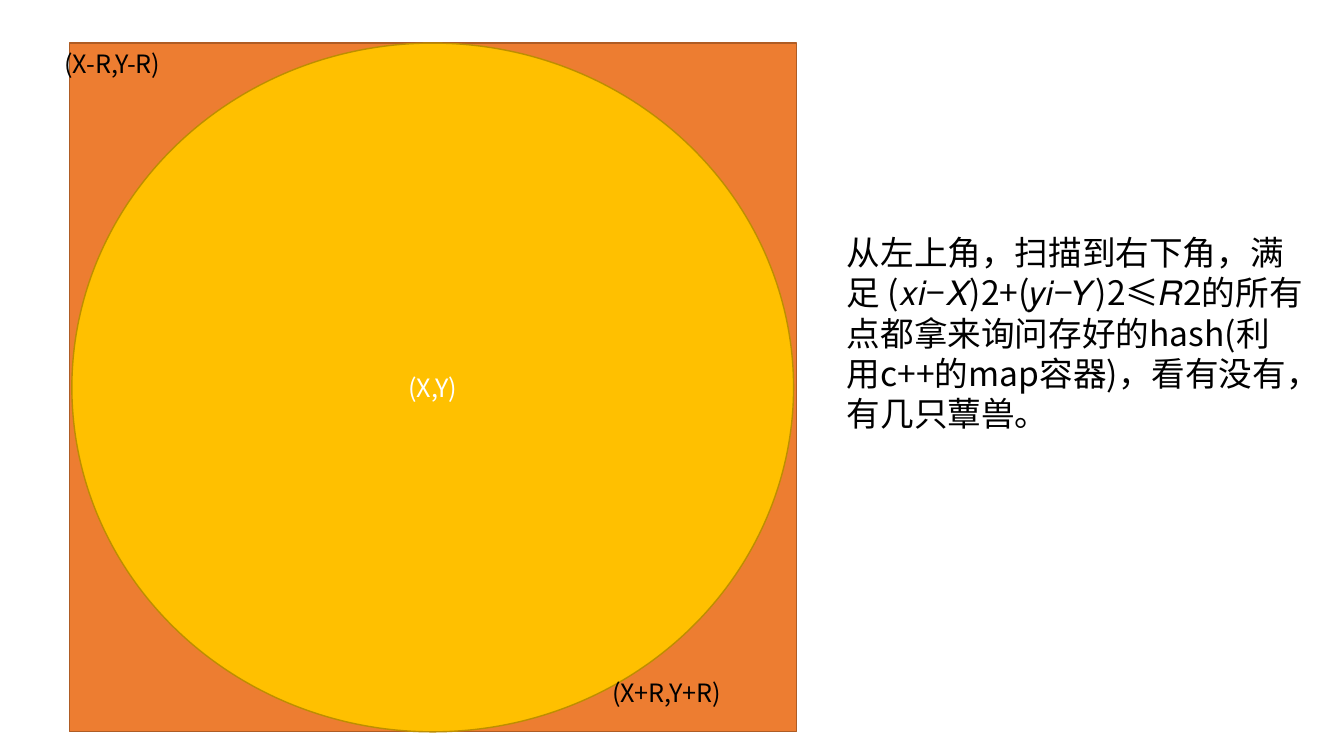
from pptx import Presentation
from pptx import util as u
from pptx.dml.color import RGBColor
from pptx.enum import shapes, text
from pptx.oxml.ns import qn
from dataclasses import dataclass
from lxml import etree

WIDE, HIGH = 13.33, 7.5


@dataclass(frozen=True)
class Theme:
    font: str = "Noto Sans CJK SC"
    ink: str = "000000"
    white: str = "FFFFFF"
    square: tuple = ("ED7D31", "AF5C24")
    circle: tuple = ("FFC000", "BD8E00")
    label: int = 18
    body: int = 24


THEME = Theme()


def place(x, y, w, h):
    col, row = WIDE / 100, HIGH / 100
    return [u.Inches(v) for v in (x * col, y * row, w * col, h * row)]


def write(shape, words, size, color):
    frame = shape.text_frame
    frame.word_wrap = True
    frame.text = words
    for run in frame.paragraphs[0].runs:
        run.font.size = u.Pt(size)
        run.font.name = THEME.font
        run.font.color.rgb = RGBColor.from_string(color)
        east = etree.SubElement(run.font._element, qn("a:ea"))
        east.set("typeface", THEME.font)
    return frame


def figure(group, kind, area, colors):
    shape = group.shapes.add_shape(kind, *place(*area))
    shape.shadow.inherit = False
    fill, line = map(RGBColor.from_string, colors)
    shape.fill.solid()
    shape.fill.fore_color.rgb = fill
    shape.line.color.rgb = line
    shape.line.width = u.Pt(1)
    return shape


def note(home, area, words, size):
    box = home.shapes.add_textbox(*place(*area))
    write(box, words, size, THEME.ink)


def diagram(slide):
    group = slide.shapes.add_group_shape()
    kinds = shapes.MSO_SHAPE
    figure(group, kinds.RECTANGLE, (5.18, 5.7, 54.1, 91.1), THEME.square)
    circle = figure(group, kinds.OVAL, (5.35, 5.7, 53.7, 91.1), THEME.circle)
    frame = write(circle, "(X,Y)", THEME.label, THEME.white)
    frame.vertical_anchor = text.MSO_ANCHOR.MIDDLE
    frame.paragraphs[0].alignment = text.PP_ALIGN.CENTER
    note(group, (4.05, 5.7, 13.65, 7.87), "(X-R,Y-R)", THEME.label)
    note(group, (44.8, 88.9, 14.63, 7.87), "(X+R,Y+R)", THEME.label)


def main():
    deck = Presentation()
    deck.slide_width, deck.slide_height = u.Inches(WIDE), u.Inches(HIGH)
    slide = deck.slides.add_slide(deck.slide_layouts[6])
    diagram(slide)
    words = (
        "从左上角，扫描到右下角，满足 (𝑥𝑖−𝑋)2+(𝑦𝑖−𝑌)2≤𝑅2的所有点都拿来"
        "询问存好的hash(利用c++的map容器)，看有没有，有几只蕈兽。"
    )
    note(slide, (62.27, 30, 35.41, 28.27), words, THEME.body)
    deck.save("out.pptx")


if __name__ == "__main__":
    main()
